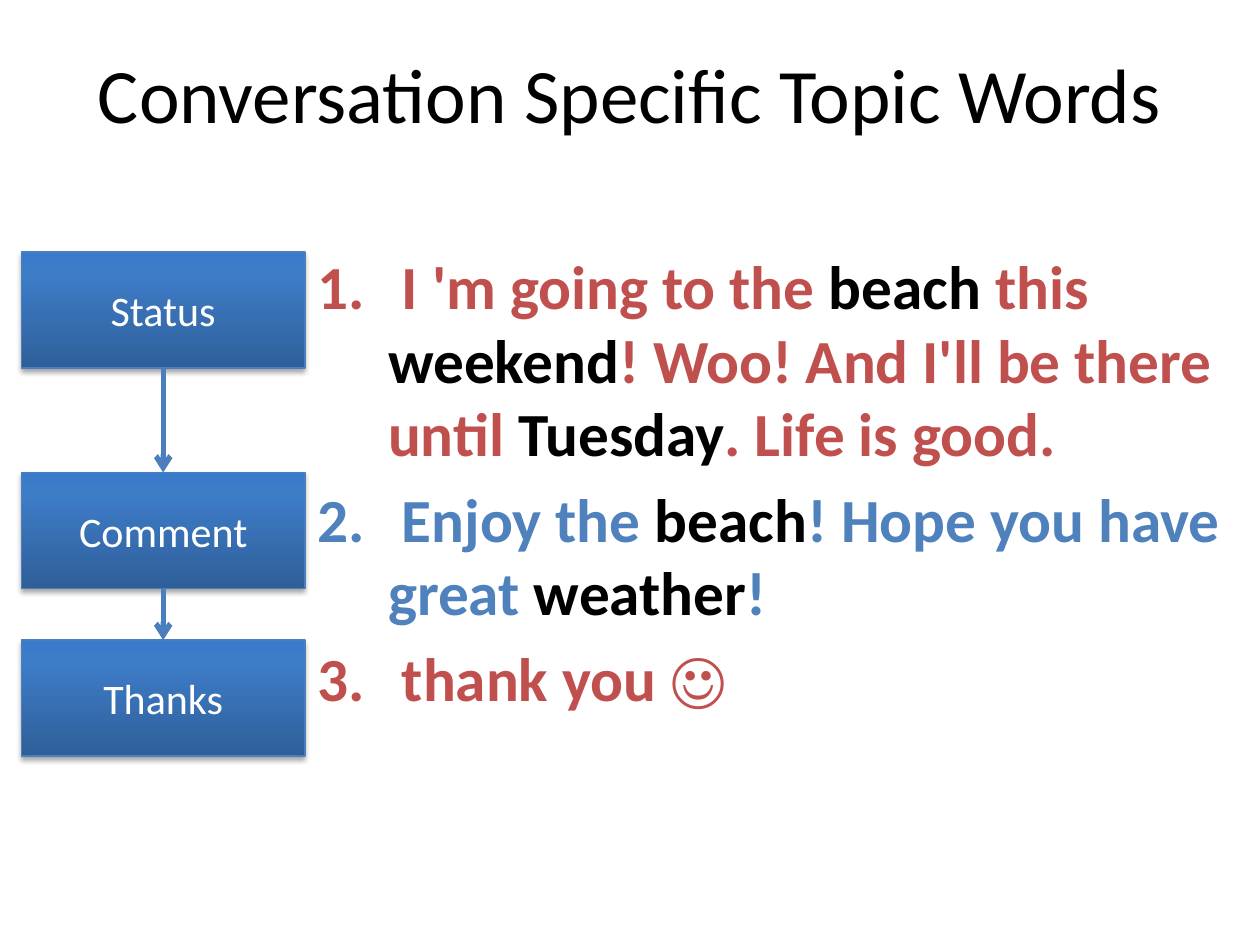
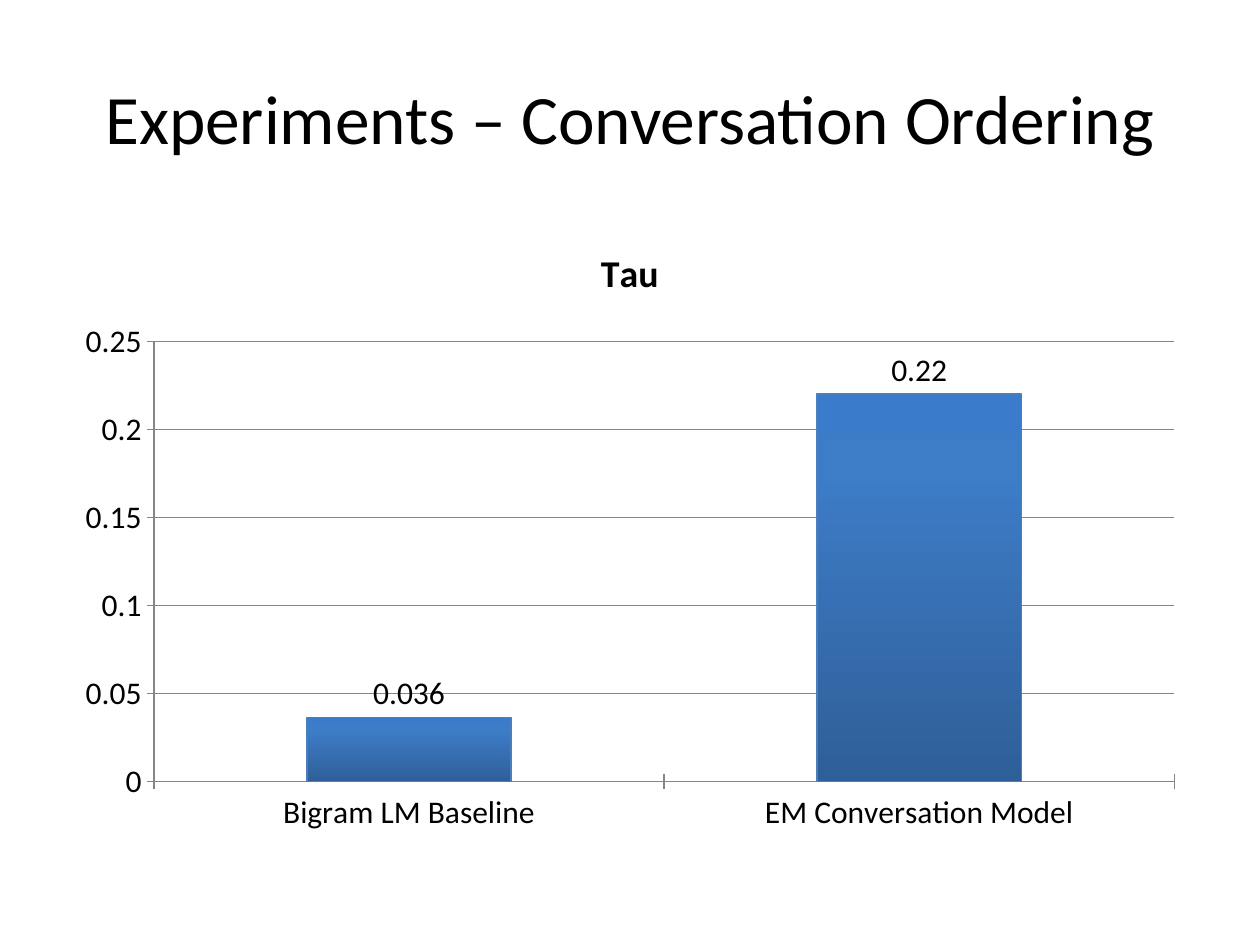
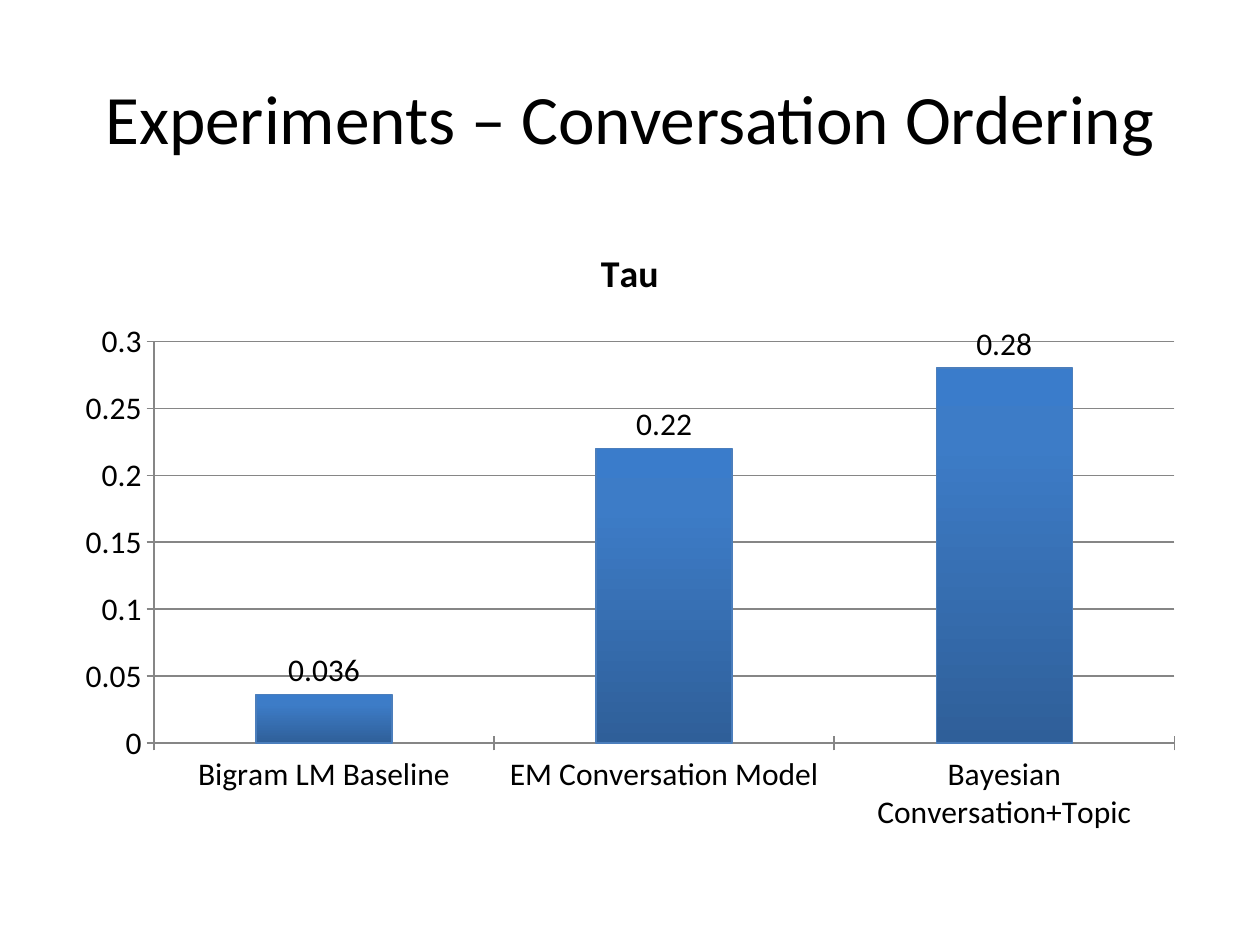
from copy import deepcopy

from pptx import Presentation
from pptx.chart.data import CategoryChartData
from pptx.dml.color import RGBColor
from pptx.enum.chart import XL_CHART_TYPE, XL_LABEL_POSITION, XL_TICK_MARK
from pptx.enum.shapes import MSO_CONNECTOR, MSO_SHAPE
from pptx.enum.text import MSO_ANCHOR, MSO_AUTO_SIZE, PP_ALIGN
from pptx.oxml import parse_xml
from pptx.oxml.ns import nsdecls, qn
from pptx.oxml.xmlchemy import OxmlElement
from pptx.util import Inches, Pt

COLUMN = XL_CHART_TYPE.COLUMN_CLUSTERED
OUTSIDE_END = XL_LABEL_POSITION.OUTSIDE_END
CROSS = XL_TICK_MARK.CROSS
STRAIGHT = MSO_CONNECTOR.STRAIGHT
RECTANGLE = MSO_SHAPE.RECTANGLE
MIDDLE = MSO_ANCHOR.MIDDLE
CENTER = PP_ALIGN.CENTER
NO_AUTOFIT = MSO_AUTO_SIZE.NONE

BLACK = RGBColor(0x00, 0x00, 0x00)
WHITE = RGBColor(0xFF, 0xFF, 0xFF)
RED = RGBColor(0xC0, 0x50, 0x4D)
BLUE = RGBColor(0x4F, 0x81, 0xBD)
OUTLINE = RGBColor(0x4B, 0x7E, 0xBC)
GRID = RGBColor(0x86, 0x86, 0x86)
GRADIENT = [
    (0, RGBColor(0x2F, 0x5F, 0x99)),
    (0.8, RGBColor(0x3D, 0x7C, 0xC7)),
    (1, RGBColor(0x3A, 0x7C, 0xCB)),
]
FONT = "Calibri"
CONTENT_LAYOUT = 1
TITLE_LAYOUT = 5

FLOW_STEPS = [("Status", 2), ("Comment", 3.75), ("Thanks", 5.08)]
MESSAGES = [
    (RED, [" I 'm going to the ", "beach", " this ", "weekend",
           "! Woo! And I'll be there until ", "Tuesday", ". Life is good."]),
    (BLUE, [" Enjoy the ", "beach", "! Hope you have great ", "weather", "!"]),
    (RED, [" thank you ☺"]),
]
TAU_SCORES = [
    ("Bigram LM Baseline", 0.036),
    ("EM Conversation Model", 0.22),
    ("Bayesian Conversation+Topic", 0.28),
]


def style_font(font, size, color, bold=None):
    font.name = FONT
    font.size = Pt(size)
    font.color.rgb = color
    font.bold = bold


def add_span(para, text, size, color, bold=None):
    span = para.add_run()
    span.text = text
    style_font(span.font, size, color, bold)


def place(shape, left, top, width, height):
    shape.left, shape.top = Inches(left), Inches(top)
    shape.width, shape.height = Inches(width), Inches(height)


def paint_gradient(fill, properties):
    fill.gradient()
    stops = properties.find(qn("a:gradFill")).find(qn("a:gsLst"))
    stops.append(deepcopy(stops[-1]))
    for stop, (position, color) in zip(fill.gradient_stops, GRADIENT):
        stop.position = position
        stop.color.rgb = color
    fill.gradient_angle = 90


def set_outline(line, width, color=OUTLINE):
    line.color.rgb = color
    line.width = Pt(width)


def add_page(deck, layout, title, height, size):
    page = deck.slides.add_slide(deck.slide_layouts[layout])
    box = page.shapes.title
    place(box, 0.5, 0.3, 9, height)
    frame = box.text_frame
    frame.auto_size = NO_AUTOFIT
    frame.vertical_anchor = MIDDLE
    para = frame.paragraphs[0]
    para.alignment = CENTER
    add_span(para, title, size, BLACK)
    return page


def number_paragraph(para):
    para.level = 1
    properties = para._p.get_or_add_pPr()
    properties.set("marL", str(Inches(1.06)))
    properties.set("indent", str(Inches(-0.56)))
    bullet_font = OxmlElement("a:buFont")
    bullet_font.set("typeface", "+mj-lt")
    numbering = OxmlElement("a:buAutoNum")
    numbering.set("type", "arabicPeriod")
    properties.extend([bullet_font, numbering])


def fill_messages(body):
    place(body, 1.92, 1.92, 8.08, 4.08)
    frame = body.text_frame
    frame.auto_size = NO_AUTOFIT
    for index, (color, pieces) in enumerate(MESSAGES):
        para = frame.add_paragraph() if index else frame.paragraphs[0]
        number_paragraph(para)
        for position, piece in enumerate(pieces):
            add_span(para, piece, 35, BLACK if position % 2 else color, True)


def add_shadow(shape):
    shape.shadow.inherit = False
    effects = shape._element.spPr.find(qn("a:effectLst"))
    effects.append(parse_xml(
        f'<a:outerShdw {nsdecls("a")} blurRad="{Pt(3.1)}" dist="{Pt(1.8)}" '
        'dir="5400000" rotWithShape="0"><a:srgbClr val="000000">'
        '<a:alpha val="35000"/></a:srgbClr></a:outerShdw>'))


def add_step(page, label, top):
    step = page.shapes.add_shape(
        RECTANGLE, Inches(0.17), Inches(top), Inches(2.25), Inches(0.92))
    paint_gradient(step.fill, step._element.spPr)
    set_outline(step.line, 0.75)
    add_shadow(step)
    step.text_frame.vertical_anchor = MIDDLE
    para = step.text_frame.paragraphs[0]
    para.alignment = CENTER
    add_span(para, label, 24, WHITE)
    return step


def add_arrow(page, upper, lower):
    arrow = page.shapes.add_connector(STRAIGHT, 0, 0, 0, 0)
    arrow.begin_connect(upper, 2)
    arrow.end_connect(lower, 0)
    set_outline(arrow.line, 3)
    head = OxmlElement("a:tailEnd")
    head.set("type", "arrow")
    arrow.line._get_or_add_ln().append(head)
    arrow._element.spPr.append(OxmlElement("a:effectLst"))


def add_tau_chart(page, scores):
    data = CategoryChartData()
    data.categories = [name for name, score in scores]
    data.add_series("Tau", [score for name, score in scores])
    chart = page.shapes.add_chart(
        COLUMN, Inches(0.5), Inches(1.75), Inches(9), Inches(4.95), data).chart
    style_font(chart.font, 18, BLACK)
    chart.has_legend = False
    chart.has_title = True
    add_span(chart.chart_title.text_frame.paragraphs[0], "Tau", 21.6, BLACK, True)
    chart.chart_title.include_in_layout = False
    for axis in (chart.category_axis, chart.value_axis):
        axis.major_tick_mark = CROSS
        set_outline(axis.format.line, 0.75, GRID)
    chart.value_axis.has_major_gridlines = True
    set_outline(chart.value_axis.major_gridlines.format.line, 0.75, GRID)

    plot = chart.plots[0]
    plot.gap_width = 150
    plot.vary_by_categories = False
    bars = plot.series[0]
    bars.invert_if_negative = False
    fill = bars.format.fill
    paint_gradient(fill, bars._element.find(qn("c:spPr")))
    set_outline(bars.format.line, 0.75)
    labels = bars.data_labels
    labels.show_value = True
    labels.position = OUTSIDE_END
    style_font(labels.font, 18, BLACK)


def add_topic_page(deck):
    page = add_page(
        deck, CONTENT_LAYOUT, "Conversation Specific Topic Words", 0.87, 44)
    fill_messages(page.placeholders[1])
    steps = [add_step(page, label, top) for label, top in FLOW_STEPS]
    for upper, lower in zip(steps, steps[1:]):
        add_arrow(page, upper, lower)


def add_ordering_page(deck, scores):
    page = add_page(
        deck, TITLE_LAYOUT, "Experiments – Conversation Ordering", 1.25, 39.6)
    add_tau_chart(page, scores)


def main():
    deck = Presentation()
    deck.slide_width, deck.slide_height = Inches(10), Inches(7.5)
    add_topic_page(deck)
    add_ordering_page(deck, TAU_SCORES[:2])
    add_ordering_page(deck, TAU_SCORES)
    deck.save("out.pptx")


if __name__ == "__main__":
    main()
